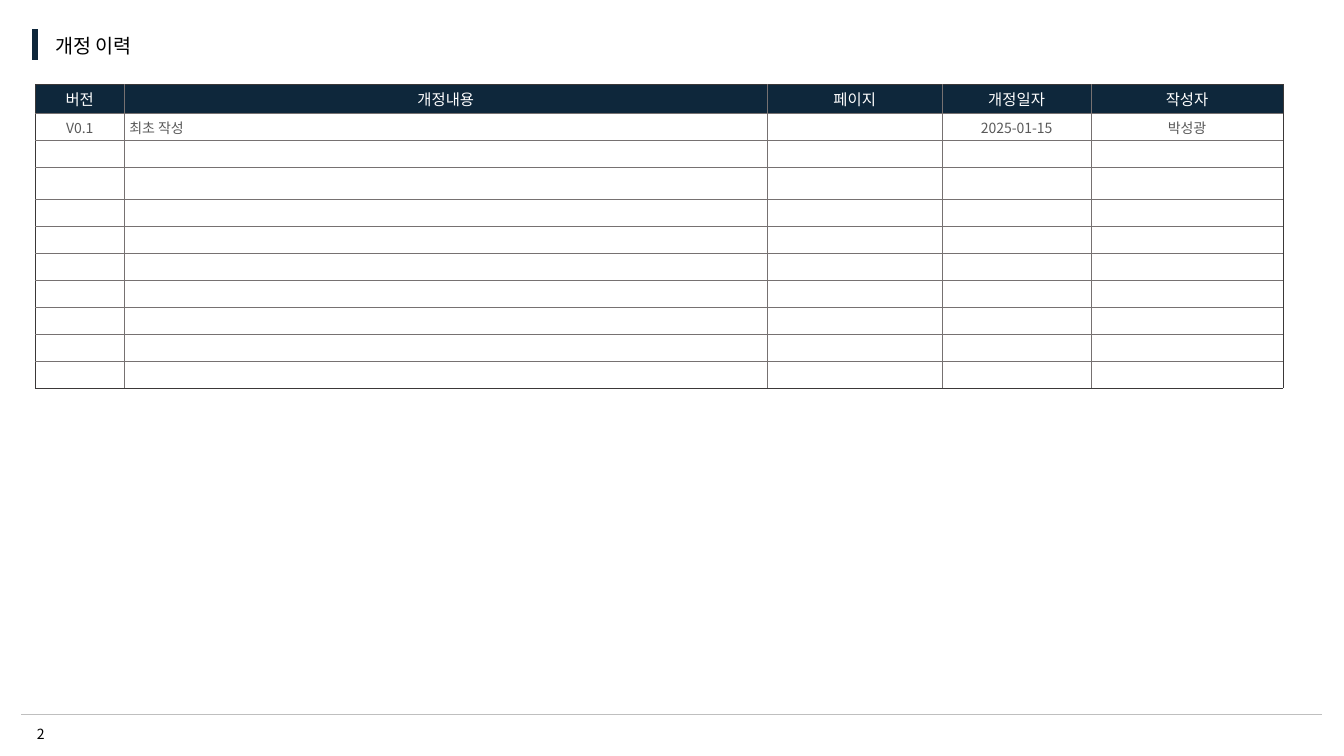
from lxml.etree import SubElement
from pptx import Presentation
from pptx.dml.color import RGBColor
from pptx.enum.shapes import MSO_CONNECTOR
from pptx.enum.text import MSO_ANCHOR, PP_ALIGN
from pptx.oxml.ns import qn
from pptx.util import Cm, Pt

FONT = "Noto Sans CJK KR"
COLORS = {
    "navy": "0E273B",
    "white": "FFFFFF",
    "black": "000000",
    "body": "595959",
    "rule": "BFBFBF",
    "inner": "767171",
    "outer": "3B3838",
}
HEADERS = ["버전", "개정내용", "페이지", "개정일자", "작성자"]
FIRST_REVISION = ["V0.1", "최초 작성", "", "2025-01-15", "박성광"]
COLUMN_WIDTHS = [2.24, 16.21, 4.4, 3.76, 4.83]
ROW_HEIGHTS = [0.73, 0.68, 0.68, 0.8] + [0.68] * 7


def rgb(name):
    return RGBColor.from_string(COLORS[name])


def style_paragraph(p, size, color, align):
    p.alignment = align
    p.font.size = Pt(size)
    p.font.color.rgb = rgb(color)
    p.font.name = FONT
    SubElement(p.font._element, qn("a:ea"), typeface=FONT)
    if not p.runs:
        SubElement(p._p, qn("a:endParaRPr"), sz=str(size * 100))


def add_text(slide, text, left, top, width, height, size, align):
    sp = slide.shapes.add_textbox(Cm(left), Cm(top), Cm(width), Cm(height))
    tf = sp.text_frame
    tf.word_wrap = False
    tf.vertical_anchor = MSO_ANCHOR.MIDDLE
    tf.margin_top = tf.margin_bottom = 0
    p = tf.paragraphs[0]
    p.text = text
    style_paragraph(p, size, "black", align)


def add_line(slide, x1, y1, x2, y2, color, width):
    line = slide.shapes.add_connector(
        MSO_CONNECTOR.STRAIGHT, Cm(x1), Cm(y1), Cm(x2), Cm(y2))
    line.line.color.rgb = rgb(color)
    line.line.width = Pt(width)
    SubElement(line._element.spPr, qn("a:effectLst"))


def set_borders(cell, outer_sides):
    tc_pr = cell._tc.get_or_add_tcPr()
    for side in "LRTB":
        ln = SubElement(tc_pr, qn(f"a:ln{side}"), w=str(Pt(0.25)))
        fill = SubElement(ln, qn("a:solidFill"))
        color = COLORS["outer" if side in outer_sides else "inner"]
        SubElement(fill, qn("a:srgbClr"), val=color)


def fill_cell(cell, text, size, color, fill, align):
    cell.margin_left = cell.margin_right = Cm(0.13)
    cell.margin_top = cell.margin_bottom = Cm(0.08)
    cell.vertical_anchor = MSO_ANCHOR.MIDDLE
    cell.fill.solid()
    cell.fill.fore_color.rgb = rgb(fill)
    p = cell.text_frame.paragraphs[0]
    if text:
        p.text = text
    style_paragraph(p, size, color, align)


def add_revision_table(slide, left, top):
    n_rows, n_cols = len(ROW_HEIGHTS), len(COLUMN_WIDTHS)
    table = slide.shapes.add_table(
        n_rows, n_cols, Cm(left), Cm(top),
        Cm(sum(COLUMN_WIDTHS)), Cm(sum(ROW_HEIGHTS))).table
    table.first_row = table.horz_banding = False
    for column, width in zip(table.columns, COLUMN_WIDTHS):
        column.width = Cm(width)
    for row, height in zip(table.rows, ROW_HEIGHTS):
        row.height = Cm(height)

    rows = [HEADERS, FIRST_REVISION] + [[""] * n_cols] * (n_rows - 2)
    for i, texts in enumerate(rows):
        for j, text in enumerate(texts):
            edges = {"L": j == 0, "R": j == n_cols - 1,
                     "T": i == 0, "B": i == n_rows - 1}
            cell = table.cell(i, j)
            set_borders(cell, [side for side, outer in edges.items() if outer])
            if i == 0:
                fill_cell(cell, text, 11, "white", "navy", PP_ALIGN.CENTER)
            else:
                align = PP_ALIGN.LEFT if j == 1 else PP_ALIGN.CENTER
                fill_cell(cell, text, 10, "body", "white", align)


def main():
    prs = Presentation()
    prs.slide_width, prs.slide_height = Cm(33.87), Cm(19.05)
    slide = prs.slides.add_slide(prs.slide_layouts[6])
    add_line(slide, 0.53, 18.01, 33.32, 18.01, "rule", 0.75)
    add_text(slide, "2", 0.33, 18.14, 1.4, 0.69, 10, PP_ALIGN.CENTER)
    add_text(slide, "개정 이력", 1.14, 0.74, 3.53, 0.81, 14, PP_ALIGN.LEFT)
    add_revision_table(slide, 0.89, 2.13)
    add_line(slide, 0.89, 0.74, 0.89, 1.5, "navy", 4.5)
    prs.save("out.pptx")


if __name__ == "__main__":
    main()
